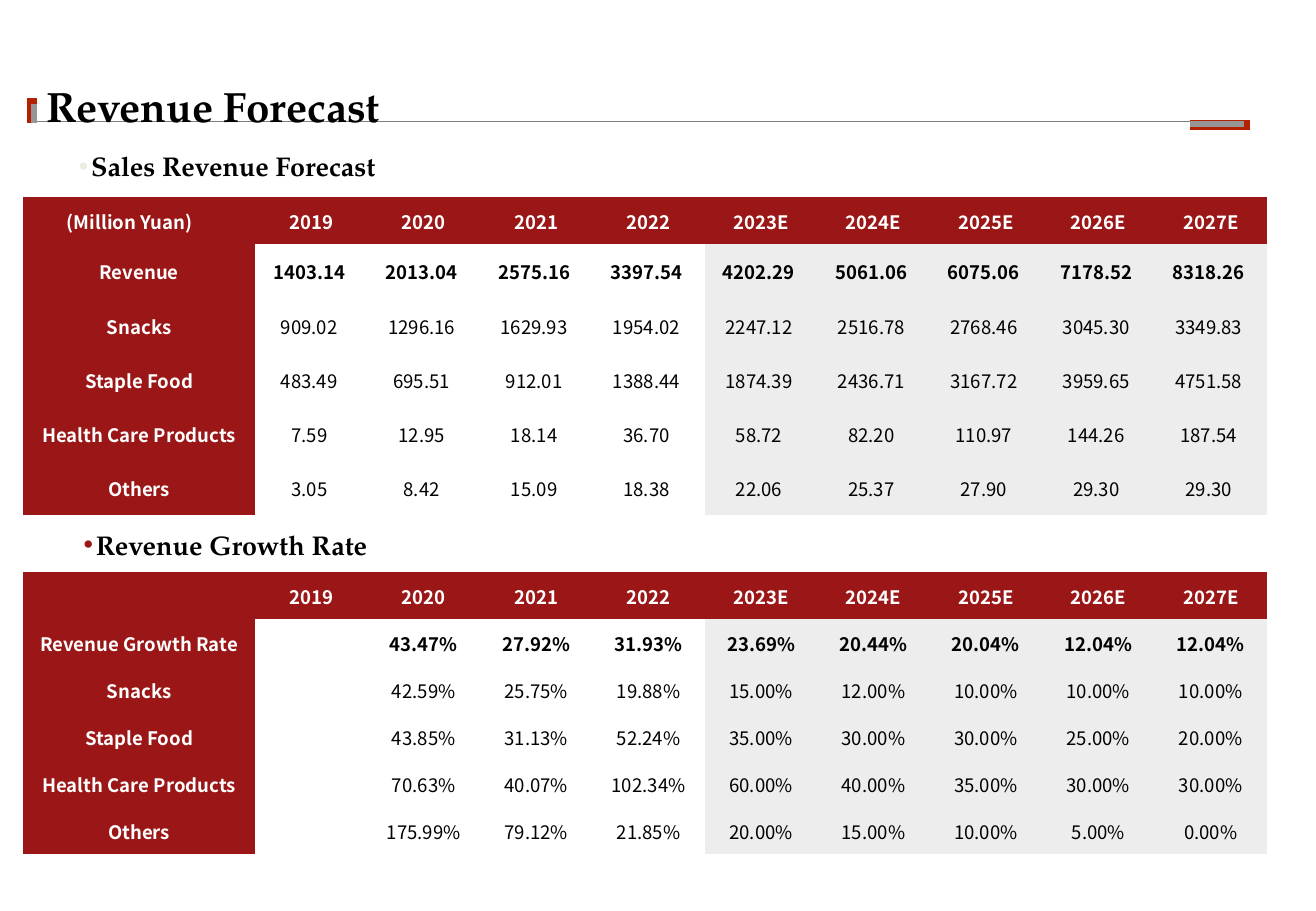
from lxml.etree import SubElement
from pptx import Presentation
from pptx.dml.color import RGBColor
from pptx.enum.shapes import MSO_CONNECTOR
from pptx.enum.text import MSO_ANCHOR, MSO_AUTO_SIZE, PP_ALIGN
from pptx.oxml.ns import qn
from pptx.util import Inches, Pt

CRIMSON = RGBColor(0x9B, 0x17, 0x17)
BRICK = RGBColor(0xB4, 0x21, 0x00)
RULE_GRAY = RGBColor(0x80, 0x80, 0x80)
SHADE_GRAY = RGBColor(0x96, 0x96, 0x96)
FORECAST_GRAY = RGBColor(0xED, 0xED, 0xED)
IVORY = RGBColor(0xEE, 0xEC, 0xE1)
BLACK = RGBColor(0, 0, 0)
WHITE = RGBColor(0xFF, 0xFF, 0xFF)

NO_TABLE_STYLE = "{2D5ABB26-0587-4C30-8999-92F81FD0307C}"
TABLE_LEFT, TABLE_WIDTH, LABEL_WIDTH, HEADER_HEIGHT = 0.19, 10.24, 1.91, 0.39
FIRST_FORECAST_COLUMN = 5
YEARS = ["2019", "2020", "2021", "2022", "2023E", "2024E", "2025E", "2026E", "2027E"]

REVENUE = {
    "Revenue": [1403.14, 2013.04, 2575.16, 3397.54, 4202.29, 5061.06, 6075.06, 7178.52, 8318.26],
    "Snacks": [909.02, 1296.16, 1629.93, 1954.02, 2247.12, 2516.78, 2768.46, 3045.30, 3349.83],
    "Staple Food": [483.49, 695.51, 912.01, 1388.44, 1874.39, 2436.71, 3167.72, 3959.65, 4751.58],
    "Health Care Products": [7.59, 12.95, 18.14, 36.70, 58.72, 82.20, 110.97, 144.26, 187.54],
    "Others": [3.05, 8.42, 15.09, 18.38, 22.06, 25.37, 27.90, 29.30, 29.30],
}
GROWTH = {
    "Revenue Growth Rate": [None, 43.47, 27.92, 31.93, 23.69, 20.44, 20.04, 12.04, 12.04],
    "Snacks": [None, 42.59, 25.75, 19.88, 15, 12, 10, 10, 10],
    "Staple Food": [None, 43.85, 31.13, 52.24, 35, 30, 30, 25, 20],
    "Health Care Products": [None, 70.63, 40.07, 102.34, 60, 40, 35, 30, 30],
    "Others": [None, 175.99, 79.12, 21.85, 20, 15, 10, 5, 0],
}


def apply_format(target, values):
    for name, value in values.items():
        setattr(target, name, value)


class ForecastSlide:
    title_font = {"name": "TeX Gyre Pagella", "size": Pt(25), "bold": True}
    heading_font = {"name": "TeX Gyre Pagella", "size": Pt(16), "bold": True}
    cell_font = {"name": "Noto Sans CJK SC", "size": Pt(11)}
    cell_format = {
        "vertical_anchor": MSO_ANCHOR.MIDDLE,
        "margin_left": Inches(0.01), "margin_right": Inches(0.01),
        "margin_top": Inches(0.01), "margin_bottom": 0,
    }

    def __init__(self, deck):
        self.slide = deck.slides.add_slide(deck.slide_layouts[1])
        self.shapes = self.slide.shapes

    def add_text(self, paragraph, text, style, color):
        run = paragraph.add_run()
        run.text = text
        apply_format(run.font, style)
        run.font.color.rgb = color

    def place(self, holder, left, top, width, height):
        """Position a placeholder and bring it in front of what is drawn so far."""
        apply_format(holder, {"left": Inches(left), "top": Inches(top),
                              "width": Inches(width), "height": Inches(height)})
        self.shapes._spTree.append(holder._element)
        return holder

    def rule(self, start, end, color, weight):
        line = self.shapes.add_connector(
            MSO_CONNECTOR.STRAIGHT, *map(Inches, (*start, *end)))
        line.line.color.rgb = color
        line.line.width = Pt(weight)
        SubElement(line._element.spPr, qn("a:effectLst"))

    def title(self, text, *box):
        frame = self.place(self.shapes.title, *box).text_frame
        apply_format(frame, {
            "margin_left": 0, "margin_right": 0, "margin_top": 0, "margin_bottom": 0,
            "vertical_anchor": MSO_ANCHOR.TOP, "word_wrap": True,
            "auto_size": MSO_AUTO_SIZE.SHAPE_TO_FIT_TEXT,
        })
        frame.paragraphs[0].alignment = PP_ALIGN.LEFT
        self.add_text(frame.paragraphs[0], text, self.title_font, BLACK)

    def heading(self, holder, text, indent, bullet_color, line_spacing):
        frame = holder.text_frame
        apply_format(frame, {"word_wrap": True, "auto_size": MSO_AUTO_SIZE.NONE,
                             "vertical_anchor": MSO_ANCHOR.TOP})
        paragraph = frame.paragraphs[0]
        properties = paragraph._p.get_or_add_pPr()
        properties.set("marL", str(Inches(indent)))
        properties.set("indent", str(Inches(-0.1)))
        bullet_fill = SubElement(properties, qn("a:buClr"))
        SubElement(bullet_fill, qn("a:srgbClr"), val=str(bullet_color))
        SubElement(properties, qn("a:buFont"), typeface="Arial")
        SubElement(properties, qn("a:buChar"), char="•")
        apply_format(paragraph, {"level": 1, "line_spacing": line_spacing,
                                 "space_before": Pt(0), "alignment": PP_ALIGN.LEFT})
        self.add_text(paragraph, text, self.heading_font, BLACK)

    def body_heading(self, text, box, **look):
        self.heading(self.place(self.slide.placeholders[1], *box), text, **look)

    def box_heading(self, text, box, **look):
        self.heading(self.shapes.add_textbox(*map(Inches, box)), text, **look)

    def cell(self, cell, text, row, column):
        apply_format(cell, self.cell_format)
        is_label = row == 0 or column == 0
        if is_label or column >= FIRST_FORECAST_COLUMN:
            cell.fill.solid()
            cell.fill.fore_color.rgb = CRIMSON if is_label else FORECAST_GRAY
        else:
            cell.fill.background()
        if text:
            paragraph = cell.text_frame.paragraphs[0]
            paragraph.alignment = PP_ALIGN.CENTER
            style = {**self.cell_font, "bold": is_label or row == 1}
            self.add_text(paragraph, text, style, WHITE if is_label else BLACK)

    def table(self, corner, data, number_format, top, height):
        rows = [[corner, *YEARS]]
        for label, values in data.items():
            rows.append([label] + ["" if value is None else number_format.format(value)
                                   for value in values])
        table = self.shapes.add_table(
            len(rows), len(rows[0]), Inches(TABLE_LEFT), Inches(top),
            Inches(TABLE_WIDTH), Inches(height)).table
        apply_format(table, {"first_row": False, "horz_banding": False})
        table._tbl.tblPr.find(qn("a:tableStyleId")).text = NO_TABLE_STYLE
        year_width = (TABLE_WIDTH - LABEL_WIDTH) / len(YEARS)
        row_height = (height - HEADER_HEIGHT) / len(data)
        for index, column in enumerate(table.columns):
            column.width = Inches(year_width if index else LABEL_WIDTH)
        for index, row in enumerate(table.rows):
            row.height = Inches(row_height if index else HEADER_HEIGHT)
            for position, text in enumerate(rows[index]):
                self.cell(table.cell(index, position), text, index, position)


def main():
    deck = Presentation()
    deck.slide_width, deck.slide_height = Inches(10.83), Inches(7.5)
    page = ForecastSlide(deck)

    page.rule((0.3, 1), (9.79, 1), RULE_GRAY, 1)
    page.rule((0.26, 1.01), (0.26, 0.81), BRICK, 6)
    page.rule((0.28, 1.01), (0.28, 0.86), SHADE_GRAY, 3)
    page.rule((9.79, 1.03), (10.29, 1.03), BRICK, 5.5)
    page.rule((9.79, 1.02), (10.24, 1.02), SHADE_GRAY, 3.38)
    page.title("Revenue Forecast", 0.38, 0.66, 10.24, 0.42)

    page.body_heading("Sales Revenue Forecast", (0.26, 1.21, 10.28, 5.63),
                      indent=0.39, bullet_color=IVORY, line_spacing=0.9)
    page.table("(Million Yuan)　", REVENUE, "{:.2f} ", top=1.62, height=2.62)

    page.box_heading("Revenue Growth Rate", (0, 4.3, 5.41, 0.37),
                     indent=0.69, bullet_color=CRIMSON, line_spacing=1.0)
    page.table("", GROWTH, "{:.2f}%", top=4.71, height=2.32)

    deck.save("out.pptx")


if __name__ == "__main__":
    main()
